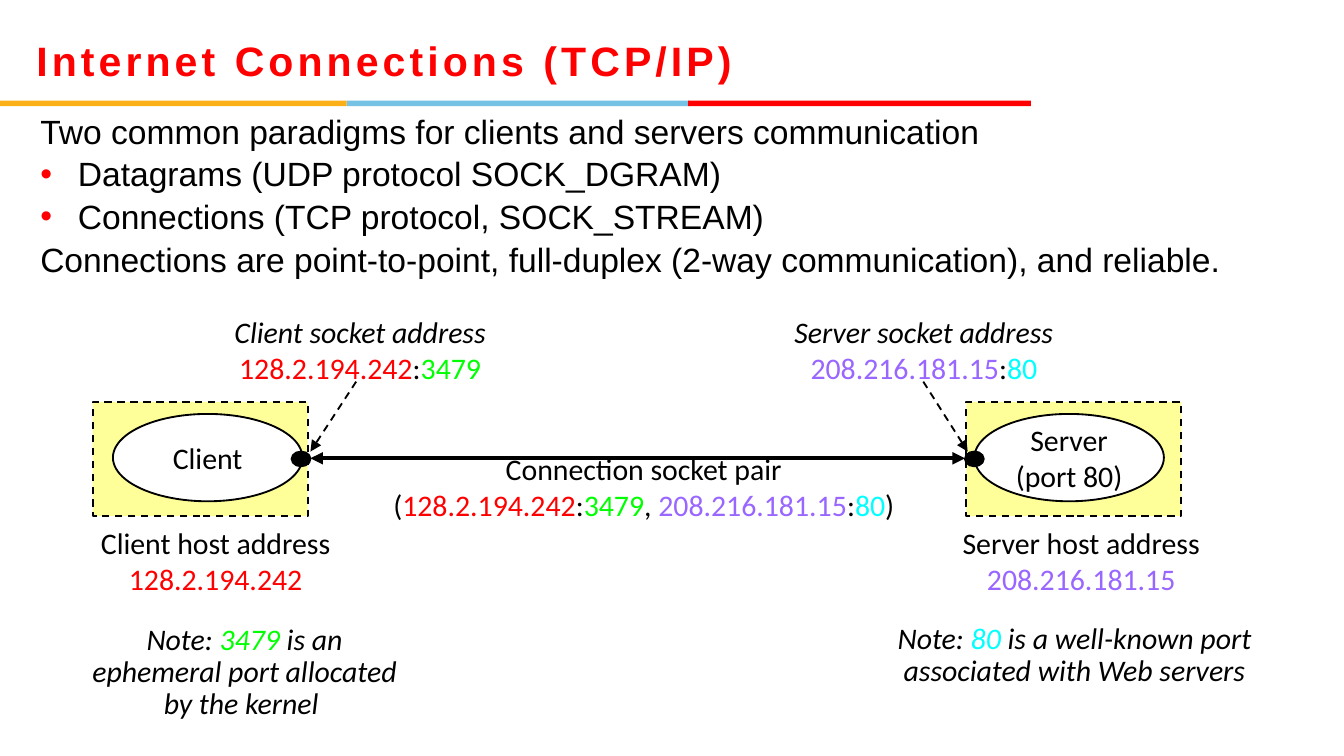
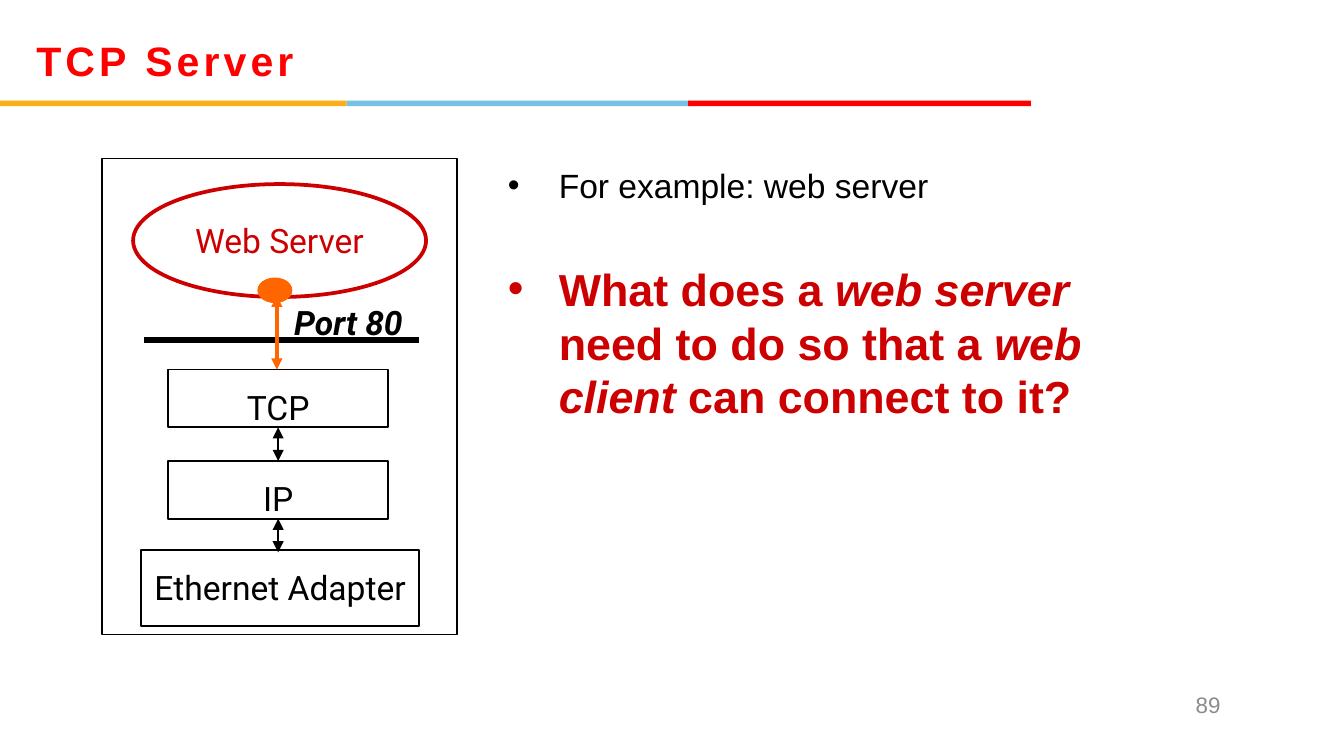
from lxml import etree
from pptx import Presentation
from pptx.dml.color import RGBColor
from pptx.enum.dml import MSO_LINE
from pptx.enum.shapes import MSO_CONNECTOR, MSO_SHAPE
from pptx.enum.text import MSO_ANCHOR, MSO_AUTO_SIZE, PP_ALIGN
from pptx.oxml.ns import qn
from pptx.util import Inches, Pt

RECT, OVAL = MSO_SHAPE.RECTANGLE, MSO_SHAPE.OVAL
LEFT, MID, RIGHT = PP_ALIGN.LEFT, PP_ALIGN.CENTER, PP_ALIGN.RIGHT
EVEN, CENTER, TOP = PP_ALIGN.JUSTIFY, MSO_ANCHOR.MIDDLE, MSO_ANCHOR.TOP
GROW, DASH = MSO_AUTO_SIZE.SHAPE_TO_FIT_TEXT, MSO_LINE.DASH

BLACK = RGBColor(0x00, 0x00, 0x00)
WHITE = RGBColor(0xFF, 0xFF, 0xFF)
RED = RGBColor(0xFF, 0x00, 0x00)
GOLD = RGBColor(0xFC, 0xB0, 0x17)
SKY = RGBColor(0x76, 0xC2, 0xE5)
CREAM = RGBColor(0xFF, 0xFF, 0x99)
GREEN = RGBColor(0x00, 0xFF, 0x00)
CYAN = RGBColor(0x00, 0xFF, 0xFF)
PURPLE = RGBColor(0x99, 0x66, 0xFF)
BRICK = RGBColor(0xCC, 0x00, 0x00)
ORANGE = RGBColor(0xFF, 0x66, 0x00)
GRAY = RGBColor(0x8C, 0x8C, 0x8C)

# The grid: 100 columns by 56.25 rows, square cells
CELL = Inches(0.1)
SIDES = ("margin_left", "margin_top", "margin_right", "margin_bottom")


def put(slide, at, kind=None, fill=None, line=None, dash=None, text=(),
        font=None, para=None, frame=None, inset=(1, 0.5, 1, 0.5)):
    """Add a shape, or a text box if no kind is given.

    Text is a list of paragraphs; each is a list of (words, format) runs.
    """
    spot = [int(v * CELL) for v in at]
    if kind is None:
        shape = slide.shapes.add_textbox(*spot)
    else:
        shape = slide.shapes.add_shape(kind, *spot)
        shape.shadow.inherit = False
        if fill is None:
            shape.fill.background()
        else:
            shape.fill.solid()
            shape.fill.fore_color.rgb = fill
        if line is None:
            shape.line.fill.background()
        else:
            shape.line.color.rgb, shape.line.width = line
            shape.line.dash_style = dash
    body = shape.text_frame
    for key, value in {"word_wrap": True, **(frame or {})}.items():
        setattr(body, key, value)
    for side, value in zip(SIDES, inset):
        setattr(body, side, int(value * CELL))
    for n, runs in enumerate(text):
        par = body.add_paragraph() if n else body.paragraphs[0]
        for key, value in (para or {}).items():
            if n or key != "space_before":
                setattr(par, key, value)
        for words, extra in runs:
            run = par.add_run()
            run.text = words
            style = {"color": BLACK, **(font or {}), **extra}
            run.font.color.rgb = style.pop("color")
            for key, value in style.items():
                setattr(run.font, key, value)
    return shape


def link(slide, start, end, color, width, heads=(), dash=None):
    """Draw a straight line with arrowheads at the named ends."""
    ends = [int(v * CELL) for v in (*start, *end)]
    wire = slide.shapes.add_connector(MSO_CONNECTOR.STRAIGHT, *ends)
    wire.line.color.rgb = color
    wire.line.width = Pt(width)
    wire.line.dash_style = dash
    for head in heads:
        etree.SubElement(wire.line._get_or_add_ln(), qn("a:" + head), type="triangle")
    etree.SubElement(wire._element.spPr, qn("a:effectLst"))


BOTH = ("headEnd", "tailEnd")
deck = Presentation()
deck.slide_width, deck.slide_height = int(100 * CELL), int(56.25 * CELL)

# Shared title and three-colour band
pages = []
for title in ("Internet Connections (TCP/IP)", "TCP Server"):
    page = deck.slides.add_slide(deck.slide_layouts[6])
    for left, wide, hue in ((25.8, 25.5, SKY), (0, 25.8, GOLD), (51.2, 25.5, RED)):
        put(page, (left, 7.5, wide, 0.4), RECT, fill=hue)
    head = put(page, (2.7, 1.3, 71.5, 6.4), text=[[(title, {})]],
               font={"name": "Arial", "size": Pt(22), "bold": True, "color": RED},
               frame={"vertical_anchor": CENTER}, inset=(0, 0, 0, 0))
    head.text_frame.paragraphs[0].runs[0]._r.get_or_add_rPr().set("spc", "220")
    pages.append(page)
net, web = pages

# Slide 1: body text
lines = ("Two common paradigms for clients and servers communication",
         "Datagrams (UDP protocol SOCK_DGRAM)",
         "Connections (TCP protocol, SOCK_STREAM) ",
         "Connections are point-to-point, full-duplex (2-way communication), and reliable. ")
intro = put(net, (3, 8.2, 93, 45), text=[[(row, {})] for row in lines],
            font={"name": "Arial", "size": Pt(18)},
            para={"alignment": EVEN, "line_spacing": 0.85, "space_before": Pt(4.5)},
            frame={"vertical_anchor": TOP}, inset=(0, 0.5, 0, 0.5))

# Slide 1: the two hosts and their labels
plain = {"name": "Calibri", "size": Pt(16)}
slant = {**plain, "italic": True}
mid = {"alignment": MID}
tight = {"alignment": MID, "line_spacing": 0.9}
loose = {"vertical_anchor": CENTER, "word_wrap": False}
fit = {**loose, "auto_size": GROW}
note = {**fit, "vertical_anchor": TOP}
thin = (BLACK, Pt(1))

hosts = (
    {"name": "Client", "role": ["Client"],
     "ip": ("128.2.194.242", {"color": RED}), "port": ("3479", {"color": GREEN}),
     "box": 6.9, "oval": 8.4, "dot": 21.7, "tip": ((26.5, 28.4), (23.1, 33.6)),
     "sock": (16.3, 22.8, 21, 6.4), "addr": (6.4, 38.5, 19.3, 6.4),
     "note": (5.7, 46, 25, 8.3),
     "tail": [" is an", "ephemeral port allocated", "by the kernel "]},
    {"name": "Server", "role": ["Server", "(port 80)"],
     "ip": ("208.216.181.15", {"color": PURPLE}), "port": ("80", {"color": CYAN}),
     "box": 71.9, "oval": 72.5, "dot": 71.8, "tip": ((68.7, 28.4), (72, 33.6)),
     "sock": (54.6, 22.8, 28.3, 6.4), "addr": (70.5, 38.5, 19.9, 6.4),
     "note": (65.6, 45.9, 28.7, 5.9),
     "tail": [" is a well-known port", "associated with Web servers"]},
)
colon = (":", {})
for host in hosts:
    name, ip, port = host["name"], host["ip"], host["port"]
    put(net, (host["box"], 29.9, 16, 8.5), RECT, CREAM, thin, DASH)
    put(net, (host["oval"], 30.8, 14.1, 6.5), OVAL, WHITE, thin,
        text=[[(row, {})] for row in host["role"]], font=plain, para=mid, frame=loose)
    put(net, (host["dot"], 33.6, 1.4, 1.1), OVAL, BLACK, thin)
    put(net, host["sock"],
        text=[[(name + " socket address", {"italic": True})], [ip, colon, port]],
        font=plain, para=mid, frame=fit)
    link(net, *host["tip"], BLACK, 1, ("tailEnd",), DASH)
    put(net, host["addr"], text=[[(name + " host address", {})], [ip]],
        font=plain, para=mid, frame=fit)
    first, *rest = host["tail"]
    put(net, host["note"],
        text=[[("Note: ", {}), port, (first, {})], *([(row, {})] for row in rest)],
        font=slant, para=tight, frame=note)

# Slide 1: the connection between them
link(net, (23.1, 34.1), (71.8, 34.1), BLACK, 2.25, BOTH)
here, there = hosts
put(net, (28, 33, 39.8, 6.4),
    text=[[("Connection socket pair", {})],
          [("(", {}), here["ip"], colon, here["port"], (", ", {}),
           there["ip"], colon, there["port"], (")", {})]],
    font=plain, para=mid, frame=fit)

# Slide 2: page number
put(web, (68.5, 50.9, 23.3, 3), text=[[("89", {})]],
    font={"name": "Arial", "size": Pt(12), "color": GRAY},
    para={"alignment": RIGHT}, frame={"vertical_anchor": CENTER})

# Slide 2: the protocol stack
label = {"name": "Roboto", "size": Pt(18)}
stack = (("TCP", (12.5, 27.5, 16.4, 4.3)),
         ("IP", (12.5, 34.3, 16.4, 4.3)),
         ("Ethernet Adapter", (10.5, 40.9, 20.7, 5.7)))
for name, at in stack:
    put(web, at, RECT, line=thin, text=[[(name, {})]], font=label, para=mid,
        frame={"vertical_anchor": TOP, "word_wrap": False},
        inset=(0.9, 1.3, 0.9, 1.3))
for top in (31.8, 38.6):
    link(web, (20.7, top), (20.7, top + 2.5), BLACK, 0.75, BOTH)
put(web, (9.9, 13.7, 21.8, 8.4), OVAL, line=(BRICK, Pt(2)),
    text=[[("Web Server", {"color": BRICK})]], font=label, para=mid, frame=loose)
link(web, (10.7, 25.3), (31.2, 25.3), BLACK, 3)
put(web, (7.6, 11.8, 26.4, 35.4), RECT, line=(BLACK, Pt(0.75)))
put(web, (19.2, 20.7, 2.5, 1.8), OVAL, ORANGE, (ORANGE, Pt(0.75)))
link(web, (20.6, 22), (20.6, 27.5), ORANGE, 2, BOTH)
put(web, (20.9, 22, 10.6, 4), text=[[("Port 80", {"bold": True, "italic": True})]],
    font=label, para={"alignment": LEFT}, frame=note)

# Slide 2: example and question
loud = {"size": Pt(24), "color": BRICK, "bold": True}
lean = {**loud, "italic": True}
task = put(web, (36.8, 11.8, 51.7, 39.4),
           text=[[("For example: web server", {})],
                 [("What does a ", loud), ("web server", lean),
                  (" need to do so that a ", loud), ("web client", lean),
                  (" can connect to it?", loud)]],
           font={"name": "Arial", "size": Pt(18)},
           para={"space_before": Pt(30)}, frame={"vertical_anchor": TOP})

# Bullets on both slides
points = [(par, 2.8, RED) for par in intro.text_frame.paragraphs[1:3]]
points += [(par, 3.8, hue) for par, hue in zip(task.text_frame.paragraphs, (BLACK, BRICK))]
for par, gap, hue in points:
    props = par._p.get_or_add_pPr()
    props.set("marL", str(int(gap * CELL)))
    props.set("indent", str(int(-gap * CELL)))
    tint = etree.SubElement(props, qn("a:buClr"))
    etree.SubElement(tint, qn("a:srgbClr"), val=str(hue))
    etree.SubElement(props, qn("a:buFont"), typeface="Arial")
    etree.SubElement(props, qn("a:buChar"), char="•")

deck.save("out.pptx")
